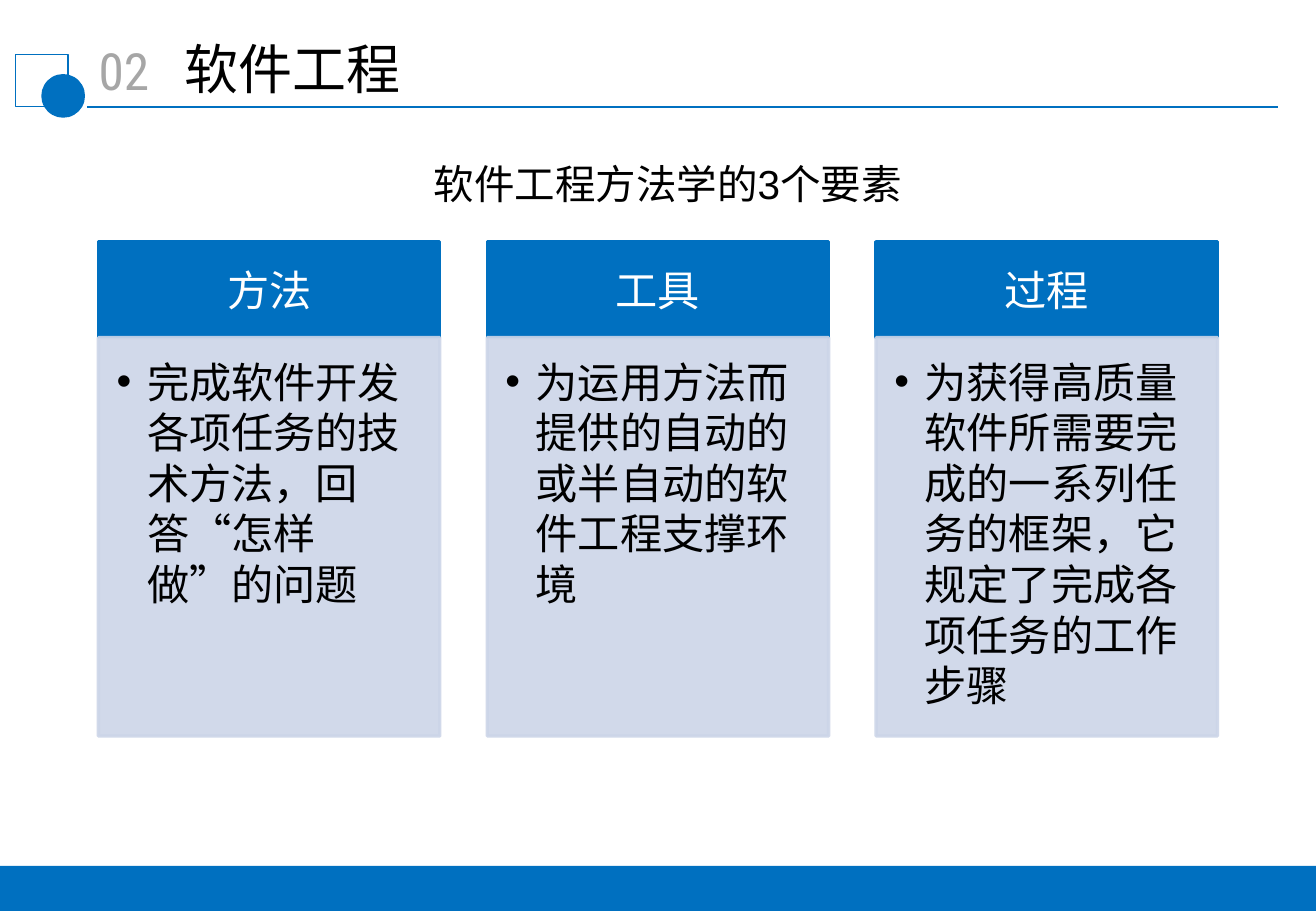
from lxml.etree import SubElement
from pptx import Presentation
from pptx.dml.color import RGBColor
from pptx.enum.shapes import MSO_CONNECTOR, MSO_SHAPE
from pptx.enum.text import MSO_ANCHOR, MSO_AUTO_SIZE, PP_ALIGN
from pptx.oxml.ns import qn
from pptx.util import Inches, Pt

BLUE, PALE, GREY = "0070C0", "CCD5E8", "A6A6A6"
BLACK, WHITE = "000000", "FFFFFF"
CJK_FONT = "Noto Sans CJK SC"
WIDTH, HEIGHT = 10.83, 7.5

CARDS = [
    ("方法", "完成软件开发各项任务的技术方法，回答“怎样做”的问题"),
    ("工具", "为运用方法而提供的自动的或半自动的软件工程支撑环境"),
    ("过程", "为获得高质量软件所需要完成的一系列任务的框架，它规定了完成各项任务的工作步骤"),
]


def rgb(color):
    return RGBColor.from_string(color)


def add_block(page, kind, place, fill=None, line=None, weight=0.75, opacity=100):
    """Add a preset shape at place (left, top, width, height in inches)."""
    shape = page.shapes.add_shape(kind, *map(Inches, place))
    shape.shadow.inherit = False
    if fill:
        shape.fill.solid()
        shape.fill.fore_color.rgb = rgb(fill)
    else:
        shape.fill.background()
    if line:
        shape.line.color.rgb = rgb(line)
        shape.line.width = Pt(weight)
    else:
        shape.line.fill.background()
    if opacity < 100:
        for color in shape._element.spPr.iter(qn("a:srgbClr")):
            SubElement(color, qn("a:alpha"), val=str(opacity * 1000))
    return shape


def write(shape, text, size, font, color, align=PP_ALIGN.LEFT,
          anchor=MSO_ANCHOR.TOP, insets=(0.1, 0.05, 0.1, 0.05), bullet=None):
    """Fill the shape with one paragraph; insets are left, top, right, bottom."""
    frame = shape.text_frame
    frame.word_wrap = True
    frame.auto_size = MSO_AUTO_SIZE.NONE
    frame.vertical_anchor = anchor
    (frame.margin_left, frame.margin_top,
     frame.margin_right, frame.margin_bottom) = map(Inches, insets)
    frame.text = text
    para = frame.paragraphs[0]
    para.alignment = align
    if bullet:
        para.line_spacing = Pt(30)
        properties = para._p.get_or_add_pPr()
        properties.set("marL", str(Inches(0.25)))
        properties.set("indent", str(-Inches(0.25)))
        SubElement(properties, qn("a:buFont"), typeface="Arial")
        SubElement(properties, qn("a:buChar"), char=bullet)
    para.font.size = Pt(size)
    para.font.color.rgb = rgb(color)
    para.font.name = font
    SubElement(para.font._element, qn("a:ea"), typeface=CJK_FONT)


def add_text(page, place, *args, **options):
    box = page.shapes.add_textbox(*map(Inches, place))
    write(box, *args, **options)


def add_header(page, left, top, number, title):
    rule = page.shapes.add_connector(
        MSO_CONNECTOR.STRAIGHT, Inches(left + 0.59), Inches(top + 0.64),
        Inches(left + 10.39), Inches(top + 0.64))
    rule.line.color.rgb = rgb(BLUE)
    rule.line.width = Pt(1.25)
    SubElement(rule._element.spPr, qn("a:effectLst"))

    add_block(page, MSO_SHAPE.RECTANGLE, (left, top + 0.21, 0.43, 0.43), line=BLUE)
    add_block(page, MSO_SHAPE.OVAL, (left + 0.21, top + 0.37, 0.36, 0.36), BLUE)
    add_text(page, (left + 0.39, top + 0.03, 1, 0.62), number, 30.4,
             "Roboto Condensed", GREY, PP_ALIGN.CENTER)

    heading = page.shapes.title
    heading.left, heading.top = Inches(left + 1.28), Inches(top)
    heading.width, heading.height = Inches(4.95), Inches(0.65)
    write(heading, title, 32, "Arial", BLACK, insets=(0.11, 0.05, 0.11, 0.05))


def add_card(page, left, top, width, height, name, meaning):
    head_height = 0.79
    head = add_block(page, MSO_SHAPE.RECTANGLE, (left, top, width, head_height),
                     BLUE, BLUE, 2)
    write(head, name, 25, CJK_FONT, WHITE, PP_ALIGN.CENTER, MSO_ANCHOR.MIDDLE,
          (0.19, 0.11, 0.19, 0.11))
    body = add_block(page, MSO_SHAPE.RECTANGLE,
                     (left, top + head_height, width, height - head_height),
                     PALE, PALE, 2, opacity=90)
    write(body, meaning, 25, CJK_FONT, BLACK,
          insets=(0.15, 0.15, 0.19, 0.22), bullet="•")


def add_cards(page, left, top, width, height, gap=0.39):
    card_width = (width - gap * (len(CARDS) - 1)) / len(CARDS)
    for index, (name, meaning) in enumerate(CARDS):
        add_card(page, left + index * (card_width + gap), top,
                 card_width, height, name, meaning)


def main():
    deck = Presentation()
    deck.slide_width, deck.slide_height = Inches(WIDTH), Inches(HEIGHT)
    page = deck.slides.add_slide(deck.slide_layouts.get_by_name("Title Only"))
    add_header(page, 0.13, 0.24, "02", "软件工程")
    add_cards(page, 0.81, 1.99, 9.21, 4.07)
    add_text(page, (3.47, 1.26, 5.28, 0.5), "软件工程方法学的3个要素",
             24, "Arial", BLACK)
    add_block(page, MSO_SHAPE.RECTANGLE, (0, HEIGHT - 0.37, WIDTH, 0.37), BLUE)
    deck.save("out.pptx")


if __name__ == "__main__":
    main()
